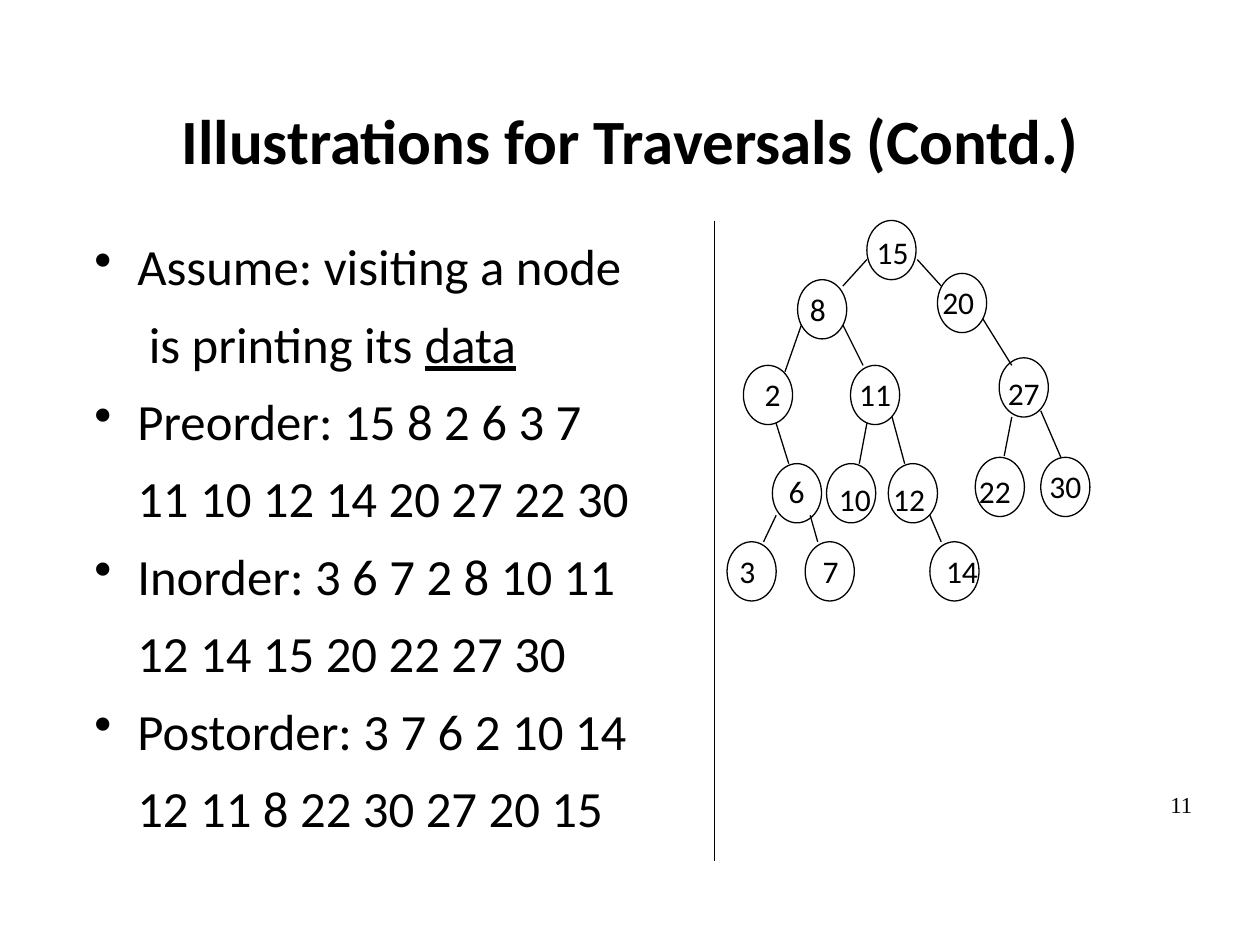
from typing import Any, NamedTuple

from lxml.etree import SubElement
from pptx import Presentation
from pptx.dml.color import RGBColor
from pptx.enum.shapes import MSO_CONNECTOR as CONN, MSO_SHAPE as SHAPE
from pptx.enum.text import MSO_ANCHOR as ANCHOR, MSO_AUTO_SIZE as AUTO, PP_ALIGN as ALIGN
from pptx.oxml.ns import qn
from pptx.util import Inches, Pt

BLACK = "000000"
NODE_W, NODE_H = 0.39, 0.47
LABEL_H = 0.4
LABEL_W = {1: 0.32, 2: 0.45}
HANG = 0.34


class Node(NamedTuple):
    value: str
    x: float
    y: float
    label_x: float
    label_y: float


class Edge(NamedTuple):
    x1: float
    y1: float
    x2: float
    y2: float


class Item(NamedTuple):
    first: str
    second: str
    underlined: str = ""


NODES = [
    Node("15", 6.88, 1.75, 6.86, 1.8),
    Node("8", 6.33, 2.22, 6.33, 2.25),
    Node("20", 7.44, 2.17, 7.38, 2.2),
    Node("2", 5.9, 2.9, 5.97, 2.93),
    Node("11", 6.75, 2.9, 6.72, 2.93),
    Node("27", 7.93, 2.84, 7.9, 2.92),
    Node("6", 6.13, 3.68, 6.16, 3.7),
    Node("10", 6.56, 3.68, 6.56, 3.76),
    Node("12", 7.05, 3.68, 6.99, 3.76),
    Node("22", 7.74, 3.63, 7.67, 3.7),
    Node("30", 8.26, 3.63, 8.23, 3.66),
    Node("3", 5.77, 4.3, 5.77, 4.33),
    Node("7", 6.39, 4.3, 6.43, 4.33),
    Node("14", 7.38, 4.3, 7.41, 4.33),
]

DIVIDER = Edge(5.67, 1.75, 5.67, 6.83)
EDGES = [
    Edge(6.88, 2.06, 6.69, 2.27),
    Edge(7.28, 2.06, 7.47, 2.27),
    Edge(6.36, 2.58, 6.23, 2.95),
    Edge(6.69, 2.58, 6.85, 2.9),
    Edge(7.8, 2.53, 8.03, 2.9),
    Edge(6.16, 3.36, 6.26, 3.68),
    Edge(6.88, 3.36, 6.82, 3.68),
    Edge(7.08, 3.31, 7.18, 3.68),
    Edge(8.03, 3.31, 7.97, 3.62),
    Edge(8.26, 3.26, 8.42, 3.63),
    Edge(6.16, 4.09, 6.06, 4.3),
    Edge(6.43, 4.09, 6.49, 4.3),
    Edge(7.38, 4.09, 7.47, 4.3),
]

ITEMS = [
    Item("Assume: visiting a node", " is printing its ", "data"),
    Item("Preorder: 15 8 2 6 3 7", "11 10 12 14 20 27 22 30"),
    Item("Inorder: 3 6 7 2 8 10 11", "12 14 15 20 22 27 30"),
    Item("Postorder: 3 7 6 2 10 14", "12 11 8 22 30 27 20 15"),
]

TITLE_FONT = {"name": "Calibri", "size": Pt(36), "bold": True}
BODY_FONT = {"name": "Calibri", "size": Pt(29)}
LABEL_FONT = {"name": "Calibri", "size": Pt(18)}
PAGE_FONT = {"name": "Times New Roman", "size": Pt(13)}
BODY_PARA = {"line_spacing": 0.9, "space_after": Pt(12.9)}


def color(value: str) -> RGBColor:
    return RGBColor.from_string(value)


def set_attrs(target: Any, values: dict[str, Any]) -> None:
    for name, value in values.items():
        setattr(target, name, value)


def add_box(shapes: Any, x: float, y: float, w: float, h: float, **frame: Any) -> Any:
    tf = shapes.add_textbox(Inches(x), Inches(y), Inches(w), Inches(h)).text_frame
    set_attrs(tf, {"word_wrap": True, **frame})
    return tf


def add_run(p: Any, text: str, font: dict[str, Any]) -> None:
    r = p.add_run()
    r.text = text
    set_attrs(r.font, font)
    r.font.color.rgb = color(BLACK)


def add_line(shapes: Any, edge: Edge) -> None:
    sp = shapes.add_connector(CONN.STRAIGHT, *(Inches(v) for v in edge))
    sp.line.color.rgb = color(BLACK)
    sp.line.width = Pt(0.75)
    SubElement(sp._element.spPr, qn("a:effectLst"))


def add_node(shapes: Any, node: Node) -> None:
    sp = shapes.add_shape(
        SHAPE.OVAL, Inches(node.x), Inches(node.y), Inches(NODE_W), Inches(NODE_H)
    )
    sp.shadow.inherit = False
    sp.fill.background()
    sp.line.color.rgb = color(BLACK)
    sp.line.width = Pt(0.75)


def add_label(shapes: Any, node: Node) -> None:
    tf = add_box(
        shapes, node.label_x, node.label_y, LABEL_W[len(node.value)], LABEL_H,
        word_wrap=False, auto_size=AUTO.SHAPE_TO_FIT_TEXT,
    )
    add_run(tf.paragraphs[0], node.value, LABEL_FONT)


def add_body_line(p: Any, text: str, bullet: bool) -> None:
    set_attrs(p, BODY_PARA)
    pPr = p._p.get_or_add_pPr()
    pPr.set("marL", str(Inches(HANG)))
    pPr.set("indent", str(-Inches(HANG) if bullet else 0))
    if bullet:
        SubElement(pPr, qn("a:buChar"), char="•")
    else:
        SubElement(pPr, qn("a:buNone"))
    add_run(p, text, BODY_FONT)


def add_body(shapes: Any) -> None:
    tf = add_box(
        shapes, 0.75, 1.75, 8.5, 4.92,
        margin_left=0, margin_top=Inches(0.17), margin_right=0, margin_bottom=0,
    )
    p = tf.paragraphs[0]
    for i, item in enumerate(ITEMS):
        if i:
            p = tf.add_paragraph()
        add_body_line(p, item.first, True)
        p = tf.add_paragraph()
        add_body_line(p, item.second, False)
        if item.underlined:
            add_run(p, item.underlined, {**BODY_FONT, "underline": True})


def main() -> None:
    prs = Presentation()
    prs.slide_width, prs.slide_height = Inches(10), Inches(7.5)
    shapes = prs.slides.add_slide(prs.slide_layouts[6]).shapes

    p = add_box(shapes, 0.75, 0.67, 8.5, 0.92, vertical_anchor=ANCHOR.MIDDLE).paragraphs[0]
    set_attrs(p, {"alignment": ALIGN.CENTER, "line_spacing": 0.97})
    add_run(p, "Illustrations for Traversals (Contd.)", TITLE_FONT)

    add_body(shapes)

    p = add_box(shapes, 8.89, 6.27, 0.67, 0.57).paragraphs[0]
    set_attrs(p, {"alignment": ALIGN.RIGHT, "line_spacing": 0.78})
    add_run(p, "11", PAGE_FONT)

    add_line(shapes, DIVIDER)
    tree = shapes.add_group_shape().shapes
    for node in NODES:
        add_node(tree, node)
    for edge in EDGES:
        add_line(tree, edge)
    for node in NODES:
        add_label(tree, node)

    prs.save("out.pptx")


if __name__ == "__main__":
    main()
